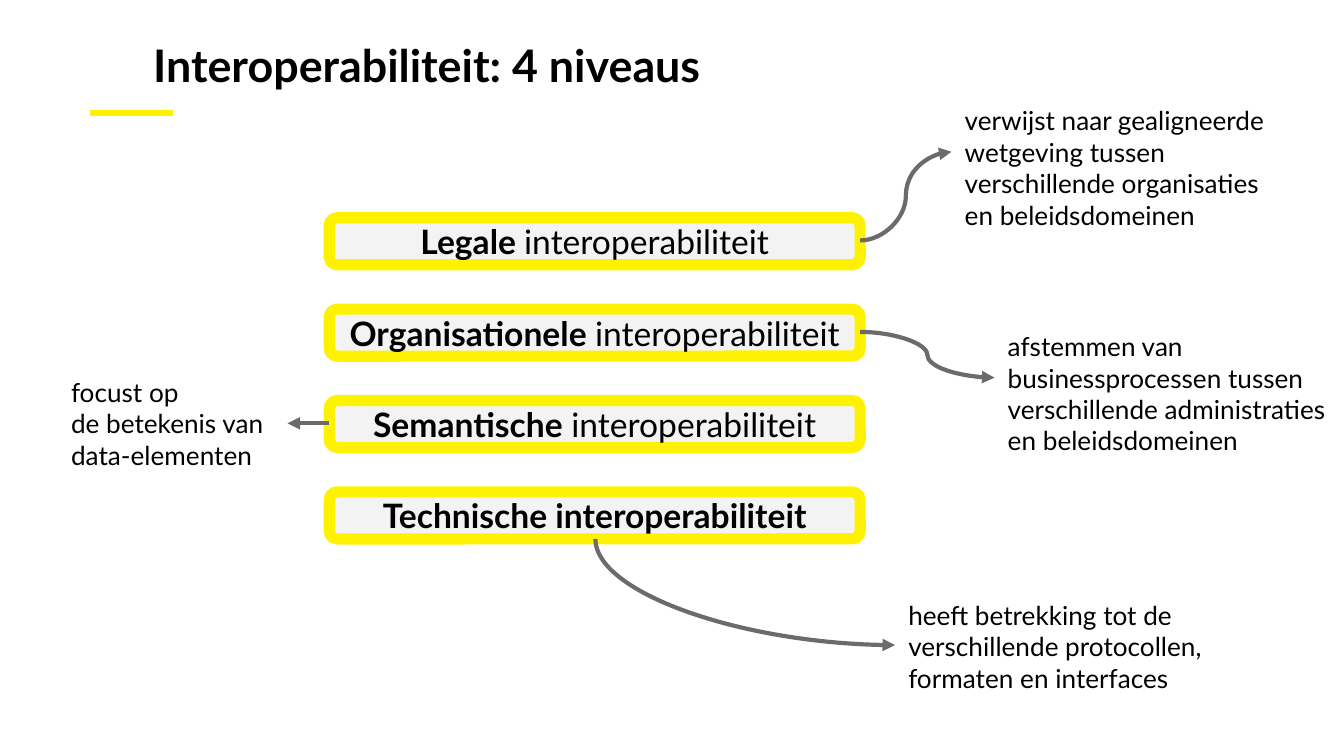
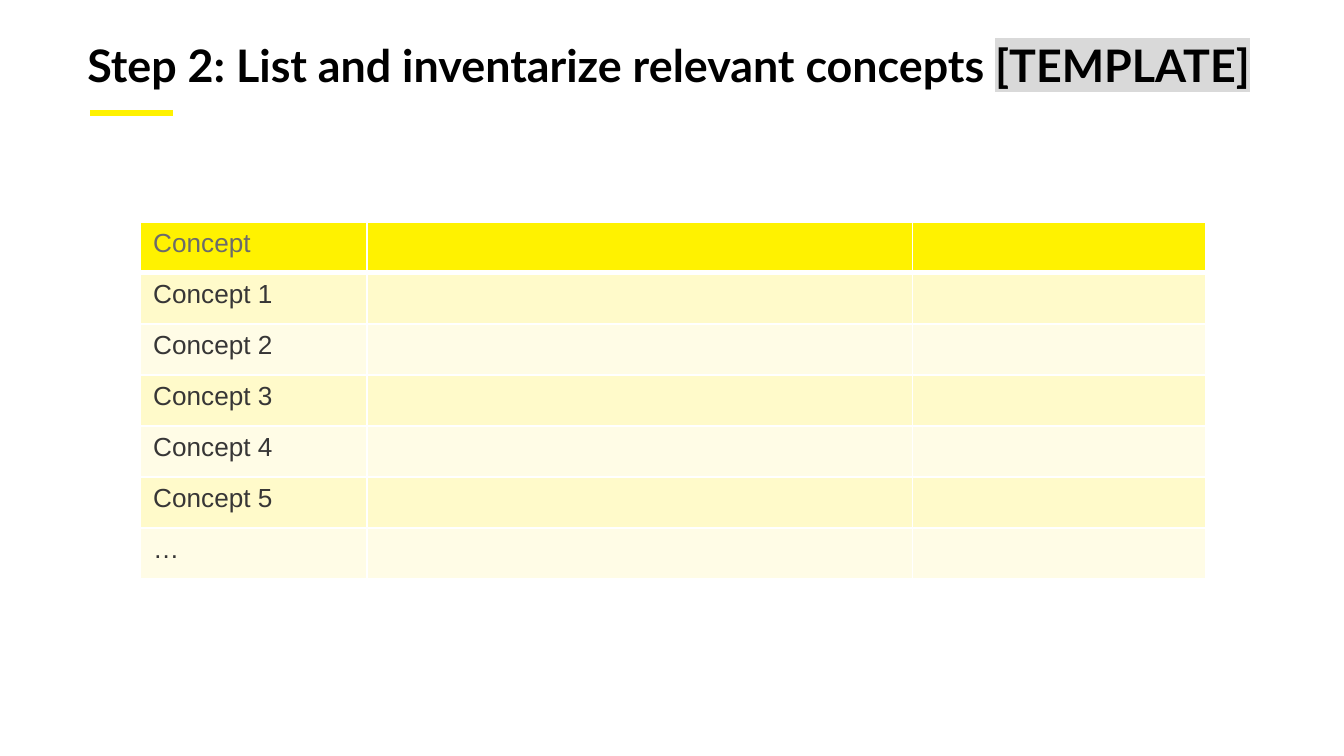
from dataclasses import dataclass
from typing import Any, NamedTuple, Optional

import pptx
import pptx.dml.color
import pptx.enum.shapes
import pptx.enum.text
import pptx.oxml.ns
import pptx.util
from lxml import etree

Inches = pptx.util.Inches
Pt = pptx.util.Pt
RGBColor = pptx.dml.color.RGBColor
Align = pptx.enum.text.PP_ALIGN
Anchor = pptx.enum.text.MSO_ANCHOR
Link = pptx.enum.shapes.MSO_CONNECTOR
qn = pptx.oxml.ns.qn

YELLOW = RGBColor(0xFF, 0xF2, 0x00)
BLACK = RGBColor(0x00, 0x00, 0x00)
WHITE = RGBColor(0xFF, 0xFF, 0xFF)
PALE = RGBColor(0xF3, 0xF3, 0xF3)
GREY = RGBColor(0x6B, 0x6B, 0x6B)
DARK = RGBColor(0x37, 0x36, 0x36)
MARK = RGBColor(0xD9, 0xD9, 0xD9)
BANDS = (RGBColor(0xFF, 0xFC, 0xE6), RGBColor(0xFF, 0xFA, 0xCA))

BAR_LEFT, BAR_TOP, BAR_WIDE, BAR_HIGH, BAR_STEP = 2.45, 1.62, 3.95, 0.35, 0.68
COLS = (1.69, 4.06, 2.18)
ROW_HIGH = 0.38


class Run(NamedTuple):
    text: str
    bold: bool = False
    mark: Optional[RGBColor] = None


@dataclass
class Level:
    """One bar, its note and the arrow between them."""
    name: list[Run]
    note: list[str]
    box: tuple[float, float, float]
    start: tuple[float, float]
    end: tuple[float, float]
    bend: bool = False


LEVELS = [
    Level([Run("Legale ", True), Run("interoperabiliteit")],
          ["verwijst naar gealigneerde wetgeving tussen",
           "verschillende organisaties en beleidsdomeinen"],
          (7.08, 0.68, 2.6), (6.4, 1.79), (7.08, 1.13)),
    Level([Run("Organisationele ", True), Run("interoperabiliteit")],
          ["afstemmen van businessprocessen tussen "
           "verschillende administraties en beleidsdomeinen"],
          (7.4, 2.36, 2.6), (6.4, 2.47), (7.4, 2.81)),
    Level([Run("Semantische", True), Run(" interoperabiliteit")],
          ["focust op", "de betekenis van data-elementen"],
          (0.43, 2.7, 1.72), (2.45, 3.15), (2.14, 3.15)),
    Level([Run("Technische interoperabiliteit", True)],
          ["heeft betrekking tot de",
           "verschillende protocollen, formaten en interfaces"],
          (6.66, 4.36, 2.43), (4.43, 4.01), (6.66, 4.8), bend=True),
]


def paint(parent: Any, color: RGBColor) -> None:
    etree.SubElement(parent, qn("a:srgbClr"), val=str(color))


def write(frame: Any, lines: list[list[Run]], *, size: float, font: str = "Lato",
          color: RGBColor = BLACK, align: Any = Align.LEFT,
          indent: float = 0) -> None:
    """Fill a text frame, one list of runs to a paragraph."""
    for i, runs in enumerate(lines):
        para = frame.paragraphs[0] if i == 0 else frame.add_paragraph()
        para.alignment = align
        if indent:
            props = para._p.get_or_add_pPr()
            props.set("marL", str(Inches(indent)))
            props.set("indent", "0")
        for item in runs:
            run = para.add_run()
            run.text = item.text
            run.font.size, run.font.name = Pt(size), font
            run.font.bold = item.bold
            run.font.color.rgb = color
            if item.mark:
                mark = etree.Element(qn("a:highlight"))
                paint(mark, item.mark)
                run._r.rPr.find(qn("a:solidFill")).addnext(mark)


def pad(frame: Any, anchor: Any = Anchor.TOP) -> None:
    frame.word_wrap = True
    frame.auto_size = pptx.enum.text.MSO_AUTO_SIZE.NONE
    frame.vertical_anchor = anchor
    frame.margin_left = frame.margin_right = Inches(0.1)
    frame.margin_top = frame.margin_bottom = Inches(0.1)


def join(slide: Any, kind: Any, start: tuple[float, float],
         end: tuple[float, float], color: RGBColor, width: float) -> Any:
    line = slide.shapes.add_connector(kind, *map(Inches, start + end))
    line.line.color.rgb = color
    line.line.width = Pt(width)
    etree.SubElement(line._element.spPr, qn("a:effectLst"))
    return line


def arrow(slide: Any, start: tuple[float, float], end: tuple[float, float],
          bend: bool) -> None:
    """Draw a curved arrow; a bend leaves downwards and arrives sideways."""
    if bend:
        (x1, y1), (x2, y2) = start, end
        mid_x, mid_y = (x1 + x2) / 2, (y1 + y2) / 2
        dx, dy = (x2 - x1) / 2, (y2 - y1) / 2
        start, end = (mid_x + dy, mid_y - dx), (mid_x - dy, mid_y + dx)
    line = join(slide, Link.CURVE, start, end, GREY, 2.25)
    etree.SubElement(line.line._get_or_add_ln(), qn("a:tailEnd"), type="triangle")
    if bend:
        props = line._element.spPr
        props.find(qn("a:xfrm")).set("rot", str(270 * 60000))
        props.find(qn("a:prstGeom")).set("prst", "curvedConnector2")


def start_slide(deck: Any, runs: list[Run], width: float, indent: float = 0) -> Any:
    """Add a slide with its title and the yellow rule below it."""
    slide = deck.slides.add_slide(deck.slide_layouts.get_by_name("Title Only"))
    title = slide.shapes.title
    title.left, title.top = Inches(0.55), Inches(0.18)
    title.width, title.height = Inches(width), Inches(0.48)
    pad(title.text_frame)
    write(title.text_frame, [runs], size=24, indent=indent)
    join(slide, Link.STRAIGHT, (0.67, 0.84), (1.29, 0.84), YELLOW, 3)
    return slide


def draw_level(slide: Any, level: Level, top: float) -> None:
    bar = slide.shapes.add_shape(
        pptx.enum.shapes.MSO_SHAPE.ROUNDED_RECTANGLE, Inches(BAR_LEFT), Inches(top),
        Inches(BAR_WIDE), Inches(BAR_HIGH))
    bar.shadow.inherit = False
    bar.fill.solid()
    bar.fill.fore_color.rgb = PALE
    bar.line.color.rgb = YELLOW
    bar.line.width = Pt(6)
    pad(bar.text_frame, Anchor.MIDDLE)
    write(bar.text_frame, [level.name], size=18, align=Align.CENTER)

    note = slide.shapes.add_textbox(*map(Inches, level.box), Inches(0.9))
    pad(note.text_frame)
    write(note.text_frame, [[Run(text)] for text in level.note], size=14)
    arrow(slide, level.start, level.end, level.bend)


def edge(cell: Any, **widths: float) -> None:
    """Give a cell white borders, keyed by side in the order L, R, T, B."""
    props = cell._tc.get_or_add_tcPr()
    for side, width in widths.items():
        line = etree.SubElement(props, qn(f"a:ln{side}"), w=str(Pt(width)))
        paint(etree.SubElement(line, qn("a:solidFill")), WHITE)


def draw_table(slide: Any, names: list[str]) -> None:
    table = slide.shapes.add_table(
        len(names), len(COLS), Inches(1.04), Inches(1.65),
        Inches(sum(COLS)), Inches(ROW_HIGH * len(names))).table
    for col, width in zip(table.columns, COLS):
        col.width = Inches(width)
    for r, name in enumerate(names):
        table.rows[r].height = Inches(ROW_HIGH)
        for c in range(len(COLS)):
            cell = table.cell(r, c)
            edge(cell, L=1, R=1, T=3 if r == 1 else 1, B=3 if r == 0 else 1)
            cell.fill.solid()
            cell.fill.fore_color.rgb = BANDS[r % 2] if r else YELLOW
            if c == 0:
                write(cell.text_frame, [[Run(name)]], size=14, font="Arial",
                      color=DARK if r else GREY)
            else:
                para = cell.text_frame.paragraphs[0]
                etree.SubElement(para._p, qn("a:endParaRPr"), sz="1400")


def main() -> None:
    deck = pptx.Presentation()
    deck.slide_width, deck.slide_height = Inches(10), Inches(10 * 9 / 16)

    slide = start_slide(deck, [Run("Interoperabiliteit: 4 niveaus", True)],
                        7.75, indent=0.49)
    for i, level in enumerate(LEVELS):
        draw_level(slide, level, BAR_TOP + i * BAR_STEP)

    slide = start_slide(
        deck, [Run("Step 2: List and inventarize relevant concepts ", True),
               Run("[TEMPLATE]", True, MARK)], 9.41)
    draw_table(slide, ["Concept", *(f"Concept {n}" for n in range(1, 6)), "…"])
    deck.save("out.pptx")


if __name__ == "__main__":
    main()
